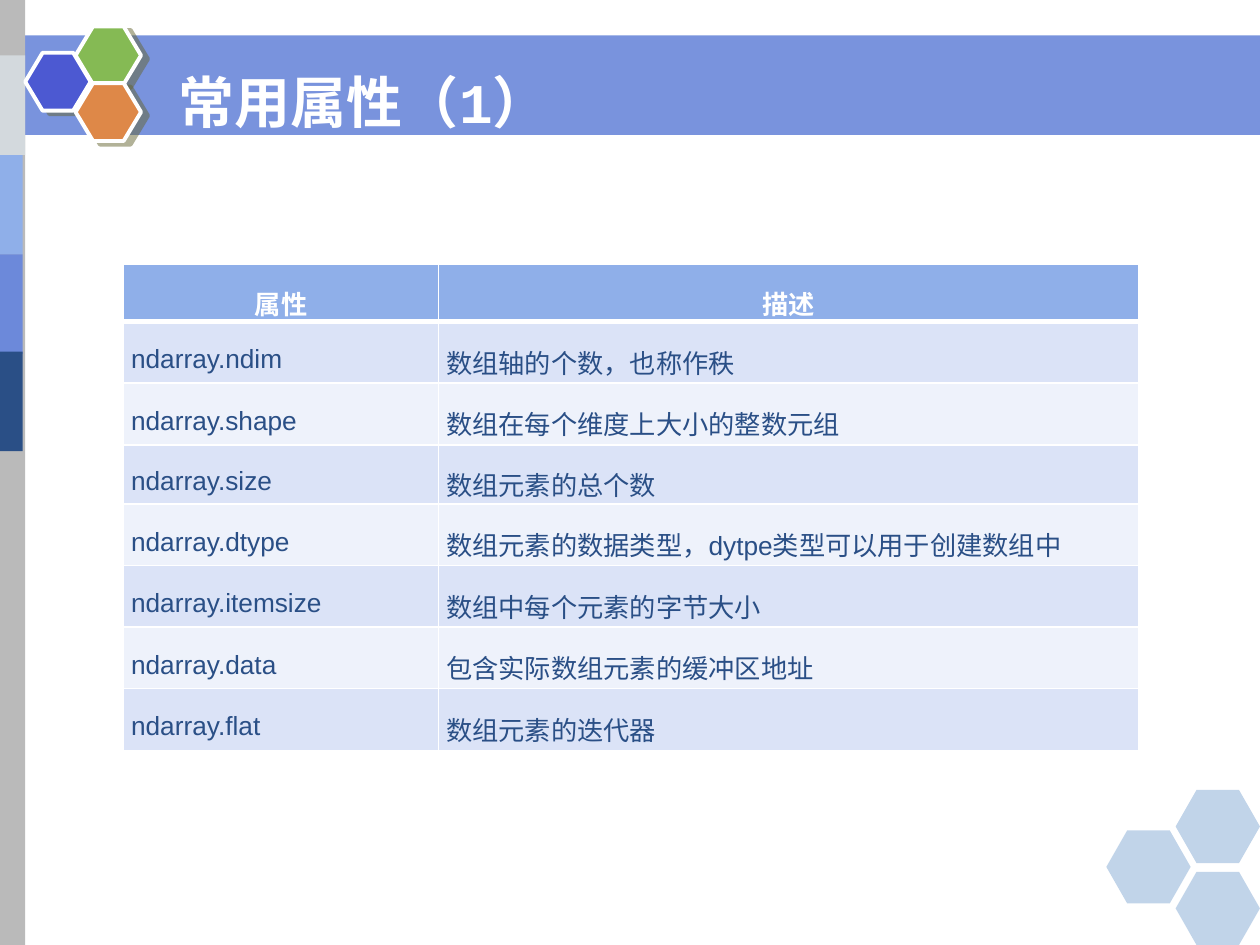
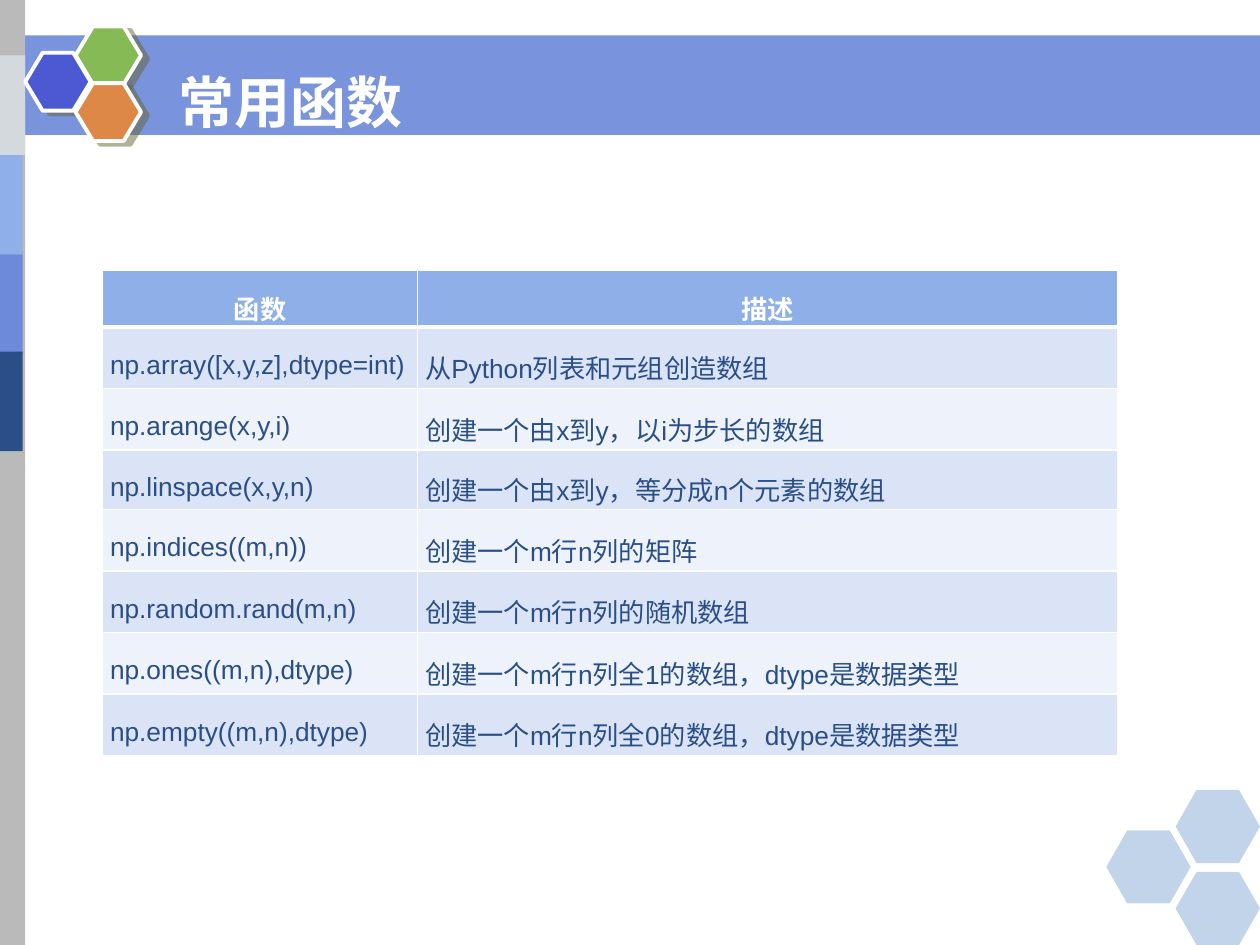
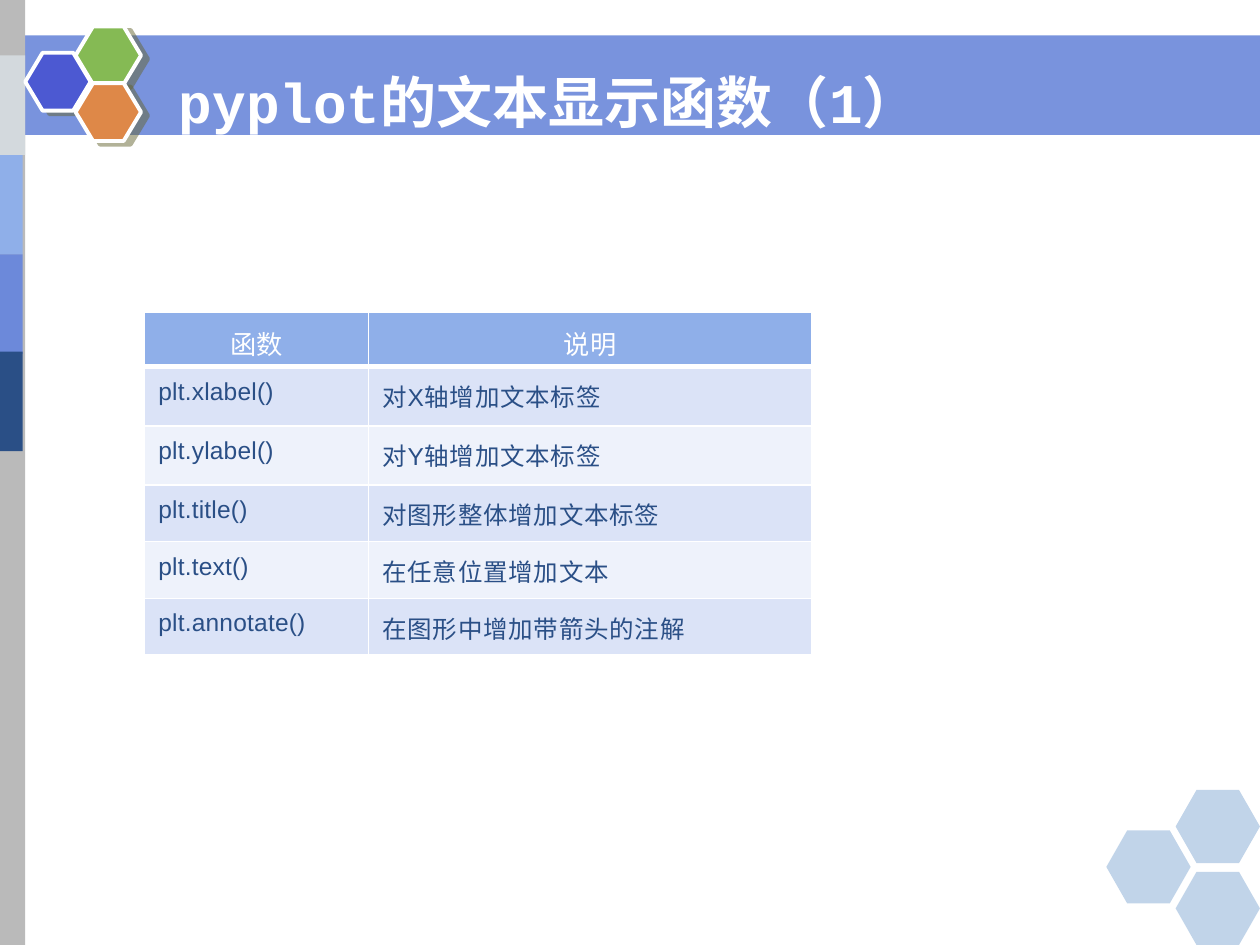
from lxml import etree
from pptx import Presentation
from pptx.dml.color import RGBColor
from pptx.enum import shapes, text
from pptx.oxml.ns import qn
from pptx.util import Pt

COLORS = {
    "white": "FFFFFF", "band": "6C89DA", "rail": "BABABA", "mist": "D3D9DD",
    "sky": "8FAFE9", "navy": "2A4F86", "indigo": "4C59D2", "green": "85BA54",
    "orange": "DE8848", "haze": "5086C2", "shade": "666633",
    "row_odd": "DBE3F7", "row_even": "EEF2FB",
}
TITLE_FONT, TABLE_FONT, CHINESE_FONT = "Courier New", "Arial", "Noto Sans CJK SC"

RAIL_BLOCKS = [(0, 31.7, "mist"), (-1.4, 88.6, "sky"),
               (-1.4, 145.4, "band"), (-1.4, 200.9, "navy")]
EMBLEM = [(14.4, 30.2, "indigo"), (43.2, 15.1, "green"), (43.2, 47.5, "orange")]
CORNER = [(632.2, 474.5), (671.8, 451.4), (671.8, 498.2)]

# Table styles: margins are left, top, right, bottom
NUMPY_STYLE = {
    "columns": [180, 400], "rows": [32.4, 35.2, 35.2, 33.9] + [35.2] * 4,
    "margins": (4.3, 0, 4.3, 0), "anchor": text.MSO_ANCHOR.MIDDLE,
    "align": text.PP_ALIGN.JUSTIFY, "line_spacing": 1.5,
    "sizes": (15, 15), "bold_header": True, "tracking": (0, 0, 0),
}
PYPLOT_STYLE = {
    "columns": [128, 253.5], "rows": [31, 33.8, 33.8] + [32.4] * 3,
    "margins": (7.9, 6.3, 0, 0), "anchor": text.MSO_ANCHOR.TOP,
    "align": text.PP_ALIGN.LEFT, "line_spacing": 1,
    "sizes": (15, 14), "bold_header": False, "tracking": (10, 10, 40),
}

ATTRIBUTES = [
    ("属性", "描述"),
    ("ndarray.ndim", "数组轴的个数，也称作秩"),
    ("ndarray.shape", "数组在每个维度上大小的整数元组"),
    ("ndarray.size", "数组元素的总个数"),
    ("ndarray.dtype", "数组元素的数据类型，dytpe类型可以用于创建数组中"),
    ("ndarray.itemsize", "数组中每个元素的字节大小"),
    ("ndarray.data", "包含实际数组元素的缓冲区地址"),
    ("ndarray.flat", "数组元素的迭代器"),
]
FUNCTIONS = [
    ("函数", "描述"),
    ("np.array([x,y,z],dtype=int)", "从Python列表和元组创造数组"),
    ("np.arange(x,y,i)", "创建一个由x到y，以i为步长的数组"),
    ("np.linspace(x,y,n)", "创建一个由x到y，等分成n个元素的数组"),
    ("np.indices((m,n))", "创建一个m行n列的矩阵"),
    ("np.random.rand(m,n)", "创建一个m行n列的随机数组"),
    ("np.ones((m,n),dtype)", "创建一个m行n列全1的数组，dtype是数据类型"),
    ("np.empty((m,n),dtype)", "创建一个m行n列全0的数组，dtype是数据类型"),
]
TEXT_FUNCTIONS = [
    ("函数", "说明"),
    ("plt.xlabel()", "对X轴增加文本标签"),
    ("plt.ylabel()", "对Y轴增加文本标签"),
    ("plt.title()", "对图形整体增加文本标签"),
    ("plt.text()", "在任意位置增加文本"),
    ("plt.annotate()", "在图形中增加带箭头的注解"),
]


def rgb(name):
    return RGBColor.from_string(COLORS[name])


def add_child(parent, tag, **attributes):
    child = etree.SubElement(parent, qn(tag))
    for key, value in attributes.items():
        child.set(key, str(value))
    return child


def add_plain(container, kind, box, color, alpha=100):
    """Add a filled preset shape without line or shadow."""
    shape = container.add_shape(kind, *map(Pt, box))
    shape.shadow.inherit = False
    shape.fill.solid()
    shape.fill.fore_color.rgb = rgb(color)
    shape.line.fill.background()
    if alpha < 100:
        tint = shape.element.spPr.find(qn("a:solidFill")).find(qn("a:srgbClr"))
        add_child(tint, "a:alpha", val=alpha * 1000)
    return shape


def add_hexagon(container, box, color, slant, alpha=100):
    hexagon = add_plain(container, shapes.MSO_SHAPE.HEXAGON, box, color, alpha)
    hexagon.adjustments[0] = slant
    return hexagon


def add_emblem(slide):
    cluster = slide.shapes.add_group_shape()
    for left, top, color in EMBLEM:
        hexagon = add_hexagon(cluster.shapes, (left, top, 37.4, 33.1), color, 0.3)
        hexagon.line.color.rgb = rgb("white")
        hexagon.line.width = Pt(2.25)
        effects = hexagon.element.spPr.find(qn("a:effectLst"))
        shadow = add_child(effects, "a:outerShdw", blurRad=0, dist=Pt(4.5),
                           dir=27 * 60000, algn="ctr", rotWithShape=0)
        shade = add_child(shadow, "a:srgbClr", val=COLORS["shade"])
        add_child(shade, "a:alpha", val=50000)


def add_decoration(slide):
    rectangle = shapes.MSO_SHAPE.RECTANGLE
    add_plain(slide.shapes, rectangle, (0, 20.2, 720, 56.9), "band", 91)
    add_plain(slide.shapes, rectangle, (-0.7, 0, 15.1, 540), "rail")
    for left, top, color in RAIL_BLOCKS:
        add_plain(slide.shapes, rectangle, (left, top, 14.4, 56.9), color)
    add_emblem(slide)
    for left, top in CORNER:
        add_hexagon(slide.shapes, (left, top, 48.2, 41.8), "haze", 0.286, 35)


def move_to_layout(slide):
    """Hand the slide's drawn shapes to its layout, behind the placeholders."""
    tree = slide.slide_layout.element.cSld.spTree
    drawn = [shape for shape in slide.shapes if not shape.is_placeholder]
    for position, shape in enumerate(drawn, start=2):
        tree.insert(position, shape.element)
    for number, properties in enumerate(tree.iter(qn("p:cNvPr")), start=1):
        properties.set("id", str(number))


def format_paragraph(paragraph, font_name, size, color, bold, align, tracking=0):
    paragraph.alignment = align
    font = paragraph.font
    font.name, font.size, font.bold = font_name, Pt(size), bold
    font.color.rgb = rgb(color)
    defaults = paragraph._p.pPr.find(qn("a:defRPr"))
    add_child(defaults, "a:ea", typeface=CHINESE_FONT)
    if tracking:
        defaults.set("spc", str(tracking))


def set_title(slide, heading):
    title = slide.shapes.title
    title.left, title.top, title.width, title.height = map(Pt, (94.3, 32.4, 580.3, 50.4))
    frame = title.text_frame
    frame.text = heading
    frame.vertical_anchor = text.MSO_ANCHOR.MIDDLE
    frame.margin_left = frame.margin_right = Pt(7.9)
    frame.margin_top = frame.margin_bottom = Pt(4.3)
    format_paragraph(frame.paragraphs[0], TITLE_FONT, 32, "white", True,
                     text.PP_ALIGN.JUSTIFY)


def set_borders(cell, bottom):
    properties = cell._tc.get_or_add_tcPr()
    for side, width in (("L", 1), ("R", 1), ("T", 1), ("B", bottom)):
        line = add_child(properties, f"a:ln{side}", w=Pt(width))
        add_child(add_child(line, "a:solidFill"), "a:srgbClr", val=COLORS["white"])


def fill_cell(cell, wording, row, column, style):
    header = row == 0
    set_borders(cell, 3 if header else 1)
    cell.fill.solid()
    cell.fill.fore_color.rgb = rgb(
        "sky" if header else "row_odd" if row % 2 else "row_even")
    left, top, right, bottom = style["margins"]
    cell.margin_left = Pt(right if header else left)
    cell.margin_top, cell.margin_right, cell.margin_bottom = map(Pt, (top, right, bottom))
    cell.vertical_anchor = style["anchor"]
    cell.text = wording
    paragraph = cell.text_frame.paragraphs[0]
    paragraph.line_spacing = style["line_spacing"]
    format_paragraph(
        paragraph, TABLE_FONT, style["sizes"][0 if header else 1],
        "white" if header else "navy", header and style["bold_header"],
        text.PP_ALIGN.CENTER if header else style["align"],
        style["tracking"][0 if header else column + 1])


def add_reference_table(slide, left, top, entries, style):
    widths, heights = style["columns"], style["rows"]
    table = slide.shapes.add_table(
        len(heights), len(widths), Pt(left), Pt(top),
        Pt(sum(widths)), Pt(sum(heights))).table
    for column, width in zip(table.columns, widths):
        column.width = Pt(width)
    for row, height in zip(table.rows, heights):
        row.height = Pt(height)
    for r, entry in enumerate(entries):
        for c, wording in enumerate(entry):
            fill_cell(table.cell(r, c), wording, r, c, style)


def main():
    deck = Presentation()
    deck.slide_width, deck.slide_height = Pt(720), Pt(540)
    title_only = deck.slide_layouts[5]
    pages = [
        ("常用属性（1）", 70.6, 151.2, ATTRIBUTES, NUMPY_STYLE),
        ("常用函数", 58.6, 154.3, FUNCTIONS, NUMPY_STYLE),
        ("pyplot的文本显示函数（1）", 82.6, 178.6, TEXT_FUNCTIONS, PYPLOT_STYLE),
    ]
    for number, (heading, left, top, entries, style) in enumerate(pages):
        slide = deck.slides.add_slide(title_only)
        if number == 0:
            add_decoration(slide)
            move_to_layout(slide)
        set_title(slide, heading)
        add_reference_table(slide, left, top, entries, style)
    deck.save("out.pptx")


if __name__ == "__main__":
    main()
